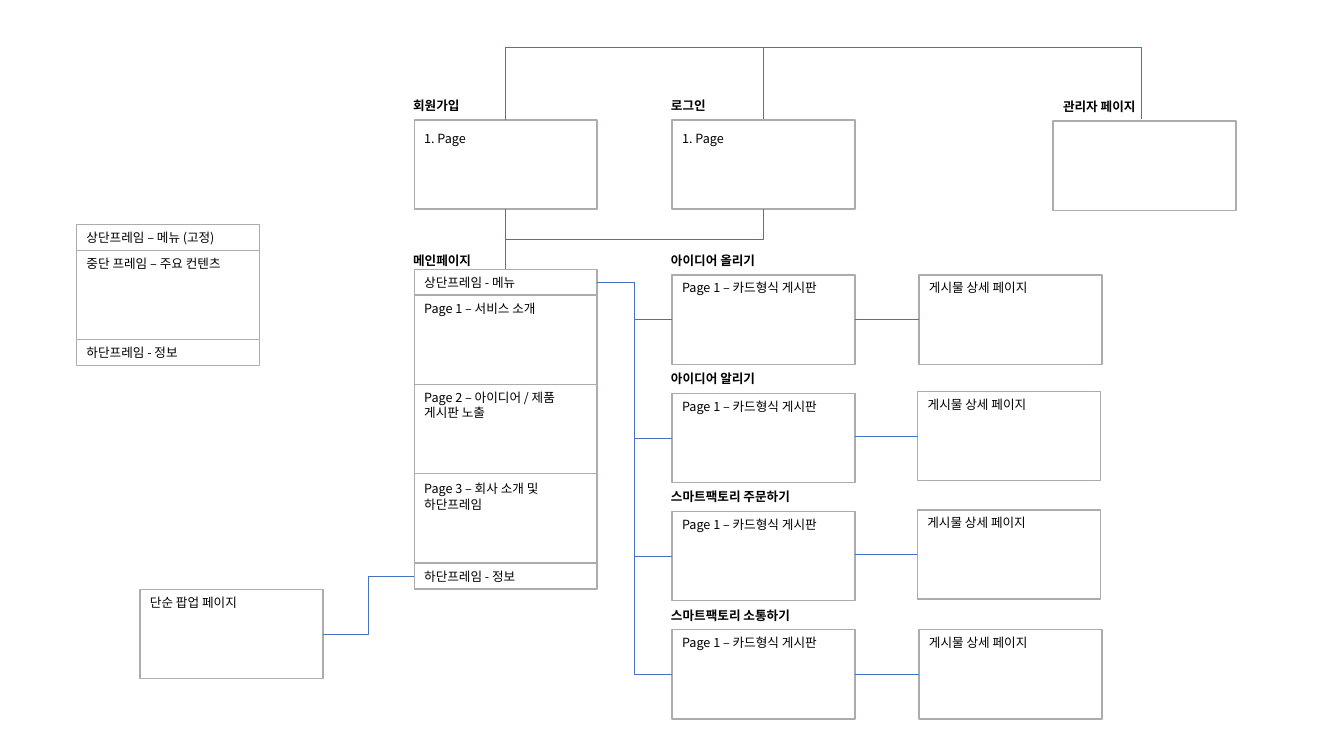
"""Build a site map slide with page boxes, captions and connectors."""
from lxml.etree import SubElement
from pptx import Presentation
from pptx.dml.color import RGBColor
from pptx.enum.shapes import MSO_CONNECTOR, MSO_SHAPE
from pptx.enum.text import MSO_ANCHOR, MSO_AUTO_SIZE, PP_ALIGN
from pptx.oxml.ns import qn
from pptx.util import Cm, Pt

BLACK = RGBColor(0x00, 0x00, 0x00)
GRAY = RGBColor(0xAF, 0xAB, 0xAB)
BLUE = RGBColor(0x44, 0x72, 0xC4)
FONT = "Noto Sans CJK KR"
TOP, LEFT, BOTTOM, RIGHT = range(4)
BOX_W, BOX_H, BAR_H = 4.61, 2.25, 0.65
CAPTION_W, CAPTION_SHIFT, CAPTION_RISE = 6.22, 0.28, 0.69


class SiteMap:
    """Style and current slide of the site map, measured in centimetres."""

    def __init__(self, slide):
        self.shapes = slide.shapes

    def style_text(self, frame, text, bold=False):
        """Fill a text frame in the common text style."""
        frame.text = text
        frame.word_wrap = True
        paragraph = frame.paragraphs[0]
        paragraph.alignment = PP_ALIGN.LEFT
        paragraph.line_spacing = Pt(11)
        for run in paragraph.runs:
            run.font.size = Pt(9)
            run.font.bold = bold
            run.font.name = FONT
            run.font.color.rgb = BLACK
            SubElement(run.font._element, qn("a:ea"), typeface=FONT)

    def label(self, x, y, text, width=BOX_W, bold=False):
        """Add a text box."""
        label = self.shapes.add_textbox(Cm(x), Cm(y), Cm(width), Cm(BAR_H))
        self.style_text(label.text_frame, text, bold)
        label.text_frame.auto_size = MSO_AUTO_SIZE.SHAPE_TO_FIT_TEXT

    def caption(self, x, y, text):
        """Add a bold caption above the box at the given place."""
        self.label(x - CAPTION_SHIFT, y - CAPTION_RISE, text, CAPTION_W, True)

    def outline(self, x, y, height):
        """Add an unfilled gray rectangle."""
        outline = self.shapes.add_shape(
            MSO_SHAPE.RECTANGLE, Cm(x), Cm(y), Cm(BOX_W), Cm(height))
        outline.shadow.inherit = False
        outline.fill.background()
        outline.line.color.rgb = GRAY
        outline.line.width = Pt(1)
        return outline

    def page(self, x, y, text="", drop=0):
        """Add a page box with its text at the top."""
        page = self.outline(x, y, BOX_H)
        if text:
            self.label(x, y + drop, text)
        return page

    def bar(self, x, y, text):
        """Add a low frame bar with vertically centred text."""
        bar = self.outline(x, y, BAR_H)
        bar.text_frame.vertical_anchor = MSO_ANCHOR.MIDDLE
        self.style_text(bar.text_frame, text)
        return bar

    def line(self, kind, x1=0, y1=0, x2=0, y2=0):
        """Add a thin blue connector."""
        line = self.shapes.add_connector(kind, Cm(x1), Cm(y1), Cm(x2), Cm(y2))
        line.line.color.rgb = BLUE
        line.line.width = Pt(0.5)
        SubElement(line.element.spPr, qn("a:effectLst"))
        return line

    def join(self, kind, source, source_side, target, target_side):
        """Connect the sides of two shapes."""
        line = self.line(kind)
        line.begin_connect(source, source_side)
        line.end_connect(target, target_side)

    def link(self, source, target):
        """Draw a level line from a box to the left side of the next one."""
        if source.top == target.top:
            self.join(MSO_CONNECTOR.STRAIGHT, source, RIGHT, target, LEFT)
            return
        line = self.line(MSO_CONNECTOR.STRAIGHT)
        line.begin_x = source.left + source.width
        line.begin_y = target.top + target.height // 2
        line.end_connect(target, LEFT)

    def upright_elbow(self, x1, y1, x2, y2, bus):
        """Draw an elbow that leaves and arrives vertically, crossing at bus."""
        middle_x, middle_y = (x1 + x2) / 2, (y1 + y2) / 2
        half_w, half_h = abs(y2 - y1) / 2, abs(x2 - x1) / 2
        line = self.line(MSO_CONNECTOR.ELBOW,
                         middle_x - half_w, middle_y - half_h,
                         middle_x + half_w, middle_y + half_h)
        xfrm = line.element.spPr.find(qn("a:xfrm"))
        xfrm.set("rot", "5400000")
        if y2 < y1:
            xfrm.set("flipH", "1")
        if x2 > x1:
            xfrm.set("flipV", "1")
        guides = line.element.spPr.find(qn("a:prstGeom")).find(qn("a:avLst"))
        ratio = round((bus - y1) / (y2 - y1) * 100000)
        SubElement(guides, qn("a:gd"), name="adj1", fmla=f"val {ratio}")


def main():
    """Lay out the site map and save it."""
    deck = Presentation()
    deck.slide_width, deck.slide_height = Cm(33.87), Cm(19.05)
    site = SiteMap(deck.slides.add_slide(deck.slide_layouts[6]))
    main_x, feature_x, admin_x = 10.44, 16.94, 26.54
    entry_y, menu_y, bus_y = 3.02, 6.79, 1.19
    main_mid, login_mid = main_x + BOX_W / 2, feature_x + BOX_W / 2

    site.caption(main_x, entry_y, "회원가입")
    signup = site.page(main_x, entry_y, "1. Page", 0.16)
    site.caption(feature_x, entry_y, "로그인")
    site.page(feature_x, entry_y, "1. Page", 0.16)
    site.label(admin_x, 2.36, "관리자 페이지", 4.45, True)
    site.page(admin_x, 3.05)

    site.label(main_x - CAPTION_SHIFT, 6.25, "메인페이지", CAPTION_W, True)
    pages_y = menu_y + BAR_H
    sections = [("Page 1 – 서비스 소개", 0),
                ("Page 2 – 아이디어 / 제품 게시판 노출", 0),
                ("Page 3 – 회사 소개 및 하단프레임", 0.05)]
    for row, (section, drop) in enumerate(sections):
        site.page(main_x, pages_y + row * BOX_H, section, drop)
    menu = site.bar(main_x, menu_y, "상단프레임 - 메뉴")
    footer = site.bar(main_x, pages_y + len(sections) * BOX_H, "하단프레임 - 정보")

    frame_x, frame_y = 1.93, 5.66
    site.page(frame_x, frame_y + BAR_H, "중단 프레임 – 주요 컨텐츠")
    site.bar(frame_x, frame_y, "상단프레임 – 메뉴 (고정)")
    site.bar(frame_x, frame_y + BAR_H + BOX_H, "하단프레임 - 정보")

    features = [("아이디어 올리기", 23.16, 6.93), ("아이디어 알리기", 23.13, 9.86),
                ("스마트팩토리 주문하기", 23.12, 12.85),
                ("스마트팩토리 소통하기", 23.16, 15.87)]
    for row, (feature, detail_x, detail_y) in enumerate(features):
        feature_y = 6.93 + row * 2.98
        site.caption(feature_x, feature_y, feature)
        board = site.page(feature_x, feature_y, "Page 1 – 카드형식 게시판")
        detail = site.page(detail_x, detail_y, "게시물 상세 페이지")
        site.join(MSO_CONNECTOR.ELBOW, menu, RIGHT, board, LEFT)
        site.link(board, detail)

    popup = site.page(3.53, 14.85, "단순 팝업 페이지")
    site.join(MSO_CONNECTOR.ELBOW, popup, RIGHT, footer, LEFT)
    site.join(MSO_CONNECTOR.STRAIGHT, signup, BOTTOM, menu, TOP)
    site.upright_elbow(login_mid, entry_y + BOX_H, main_mid, menu_y, 6.03)
    for target_x in (28.75, login_mid):
        site.upright_elbow(main_mid, entry_y, target_x, entry_y - 0.02, bus_y)

    deck.save("out.pptx")


if __name__ == "__main__":
    main()
